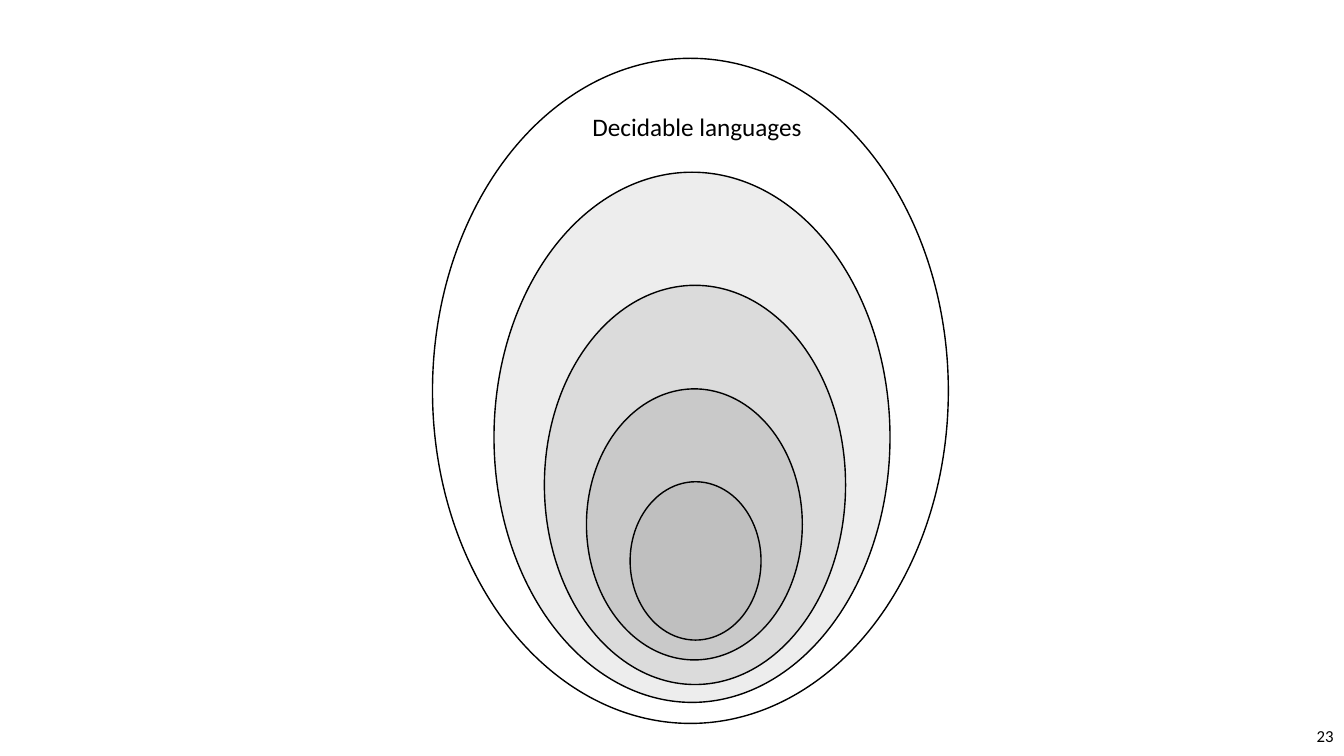
from pptx import Presentation
from pptx.dml.color import RGBColor
from pptx.enum.shapes import MSO_SHAPE as Shape
from pptx.enum.text import MSO_ANCHOR as Anchor, PP_ALIGN as Align
from pptx.util import Cm, Pt


def color(hex_code):
    return RGBColor.from_string(hex_code)


class LanguageSlide:
    font = "Calibri"
    ink = "000000"
    outline = 1

    def __init__(self, deck):
        self.slide = deck.slides.add_slide(deck.slide_layouts[6])

    def ellipse(self, left, top, width, height, fill=None):
        region = self.slide.shapes.add_shape(
            Shape.OVAL, Cm(left), Cm(top), Cm(width), Cm(height))
        region.shadow.inherit = False
        if fill:
            region.fill.solid()
            region.fill.fore_color.rgb = color(fill)
        else:
            region.fill.background()
        region.line.color.rgb = color(self.ink)
        region.line.width = Pt(self.outline)

    def text(self, wording, left, top, width, height, size,
             align=Align.LEFT, anchor=Anchor.TOP):
        box = self.slide.shapes.add_textbox(
            Cm(left), Cm(top), Cm(width), Cm(height))
        frame = box.text_frame
        frame.word_wrap = True
        frame.vertical_anchor = anchor
        paragraph = frame.paragraphs[0]
        paragraph.text = wording
        paragraph.alignment = align
        paragraph.font.name = self.font
        paragraph.font.size = Pt(size)
        paragraph.font.color.rgb = color(self.ink)


def main():
    deck = Presentation()
    deck.slide_width, deck.slide_height = Cm(33.87), Cm(19.05)
    hierarchy = LanguageSlide(deck)

    language_classes = [
        (12.45, 4.34, 9.98, 13.36, "EDEDED"),
        (13.72, 7.19, 7.59, 10.06, "DBDBDB"),
        (14.78, 9.8, 5.44, 6.83, "C9C9C9"),
        (15.88, 12.14, 3.3, 3.99, "BFBFBF"),
        (10.9, 1.47, 13, 16.76),
    ]
    for language_class in language_classes:
        hierarchy.ellipse(*language_class)

    hierarchy.text("Decidable languages", 14.68, 2.69, 6.1, 1.03, 18)
    hierarchy.text("23", 26.24, 18.03, 7.62, 1.02, 12,
                   Align.RIGHT, Anchor.MIDDLE)
    deck.save("out.pptx")


if __name__ == "__main__":
    main()
